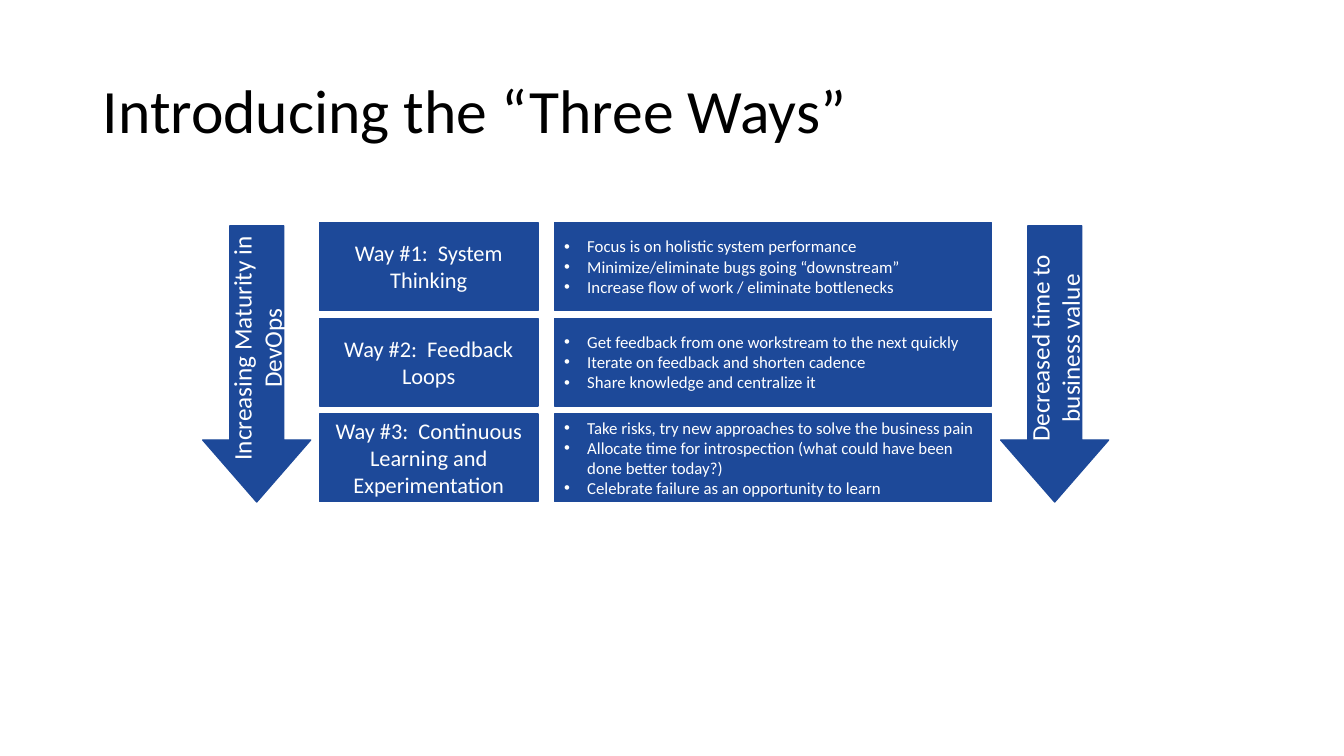
from lxml.etree import SubElement
from pptx import Presentation
from pptx.dml.color import RGBColor
from pptx.enum.shapes import MSO_SHAPE as Preset
from pptx.enum.text import MSO_ANCHOR as Anchor, PP_ALIGN as Align
from pptx.oxml.ns import qn
from pptx.util import Cm, Pt

COLORS = {"blue": "1D4999", "white": "FFFFFF", "black": "000000"}
FONT = "Calibri"

# Rows: top of the first, height and distance from one to the next
ROW_TOP, ROW_HEIGHT, ROW_PITCH = 5.61, 2.21, 2.41
BULLET_INDENT = Cm(0.58)

WAYS = [
    ("Way #1:  System Thinking", [
        "Focus is on holistic system performance",
        "Minimize/eliminate bugs going “downstream”",
        "Increase flow of work / eliminate bottlenecks",
    ]),
    ("Way #2:  Feedback Loops", [
        "Get feedback from one workstream to the next quickly",
        "Iterate on feedback and shorten cadence",
        "Share knowledge and centralize it",
    ]),
    ("Way #3:  Continuous Learning and Experimentation", [
        "Take risks, try new approaches to solve the business pain",
        "Allocate time for introspection (what could have been done better today?)",
        "Celebrate failure as an opportunity to learn",
    ]),
]
TRENDS = [
    (5.11, "Increasing Maturity in DevOps"),
    (25.22, "Decreased time to business value"),
]


def color(name):
    return RGBColor.from_string(COLORS[name])


def add_bullet(paragraph):
    properties = paragraph._p.get_or_add_pPr()
    properties.set("marL", str(BULLET_INDENT))
    properties.set("indent", str(-BULLET_INDENT))
    SubElement(properties, qn("a:buFont")).set("typeface", "Arial")
    SubElement(properties, qn("a:buChar")).set("char", "•")


def write(frame, lines, size, ink="white", align=Align.CENTER, bullets=False):
    frame.word_wrap = True
    frame.vertical_anchor = Anchor.MIDDLE
    frame.text = "\n".join(lines)
    for paragraph in frame.paragraphs:
        if bullets:
            add_bullet(paragraph)
        paragraph.alignment = align
        paragraph.font.name = FONT
        paragraph.font.size = Pt(size)
        paragraph.font.color.rgb = color(ink)


def add_title(slide, text):
    title = slide.shapes.add_textbox(Cm(2.34), Cm(1.02), Cm(29.21), Cm(3.68))
    write(title.text_frame, [text], 44, "black", Align.LEFT)
    title.text_frame.paragraphs[0].line_spacing = 0.9


def add_block(slide, preset, left, top, width, height):
    block = slide.shapes.add_shape(preset, Cm(left), Cm(top), Cm(width), Cm(height))
    block.shadow.inherit = False
    block.fill.solid()
    block.fill.fore_color.rgb = color("blue")
    block.line.color.rgb = color("blue")
    block.line.width = Pt(1)
    return block


def add_trend_arrow(slide, left, text):
    arrow = add_block(slide, Preset.DOWN_ARROW, left, 5.69, 2.72, 6.96)
    arrow.adjustments[0] = 0.5
    arrow.adjustments[1] = 0.574
    write(arrow.text_frame, [text], 18)
    # Text reads from bottom to top
    arrow.text_frame._txBody.bodyPr.set("vert", "vert270")


def add_way(slide, top, name, practices):
    heading = add_block(slide, Preset.RECTANGLE, 8.05, top, 5.51, ROW_HEIGHT)
    write(heading.text_frame, [name], 16)
    details = add_block(slide, Preset.RECTANGLE, 13.97, top, 11.02, ROW_HEIGHT)
    write(details.text_frame, practices, 12, align=Align.LEFT, bullets=True)


def main():
    deck = Presentation()
    deck.slide_width, deck.slide_height = Cm(33.87), Cm(19.05)
    slide = deck.slides.add_slide(deck.slide_layouts[6])

    add_title(slide, "Introducing the “Three Ways”")

    # One row for each way
    for row, (name, practices) in enumerate(WAYS):
        add_way(slide, ROW_TOP + row * ROW_PITCH, name, practices)

    # Arrows on both sides of the rows
    for left, text in TRENDS:
        add_trend_arrow(slide, left, text)

    deck.save("out.pptx")


if __name__ == "__main__":
    main()
